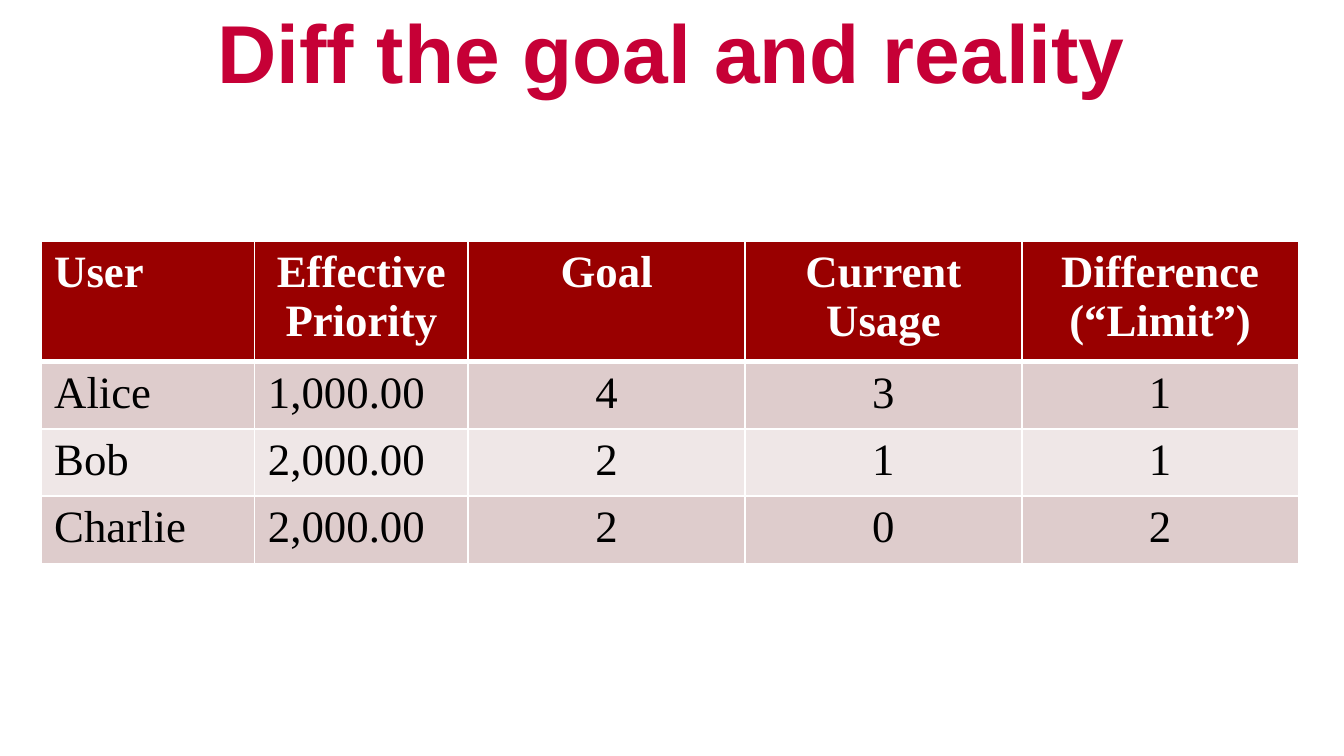
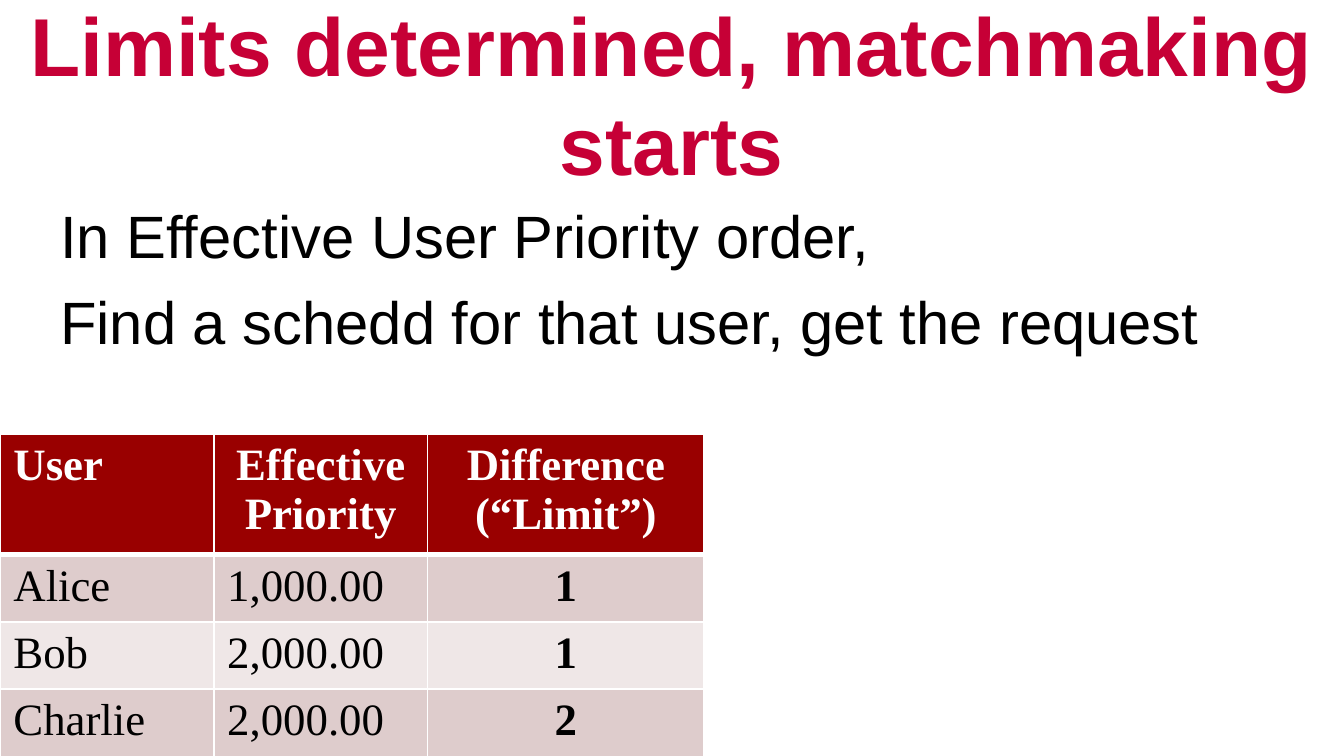
from lxml.etree import SubElement
from pptx import Presentation
from pptx.dml.color import RGBColor
from pptx.enum.text import MSO_ANCHOR as ANCHOR, PP_ALIGN as ALIGN
from pptx.oxml.ns import qn
from pptx.util import Cm, Pt

WIDTH, HEIGHT = 25.4, 14.29
HEADERS = ["User", "Effective\nPriority", "Goal", "Current\nUsage", "Difference\n(“Limit”)"]
USERS = [
    ["Alice", "1,000.00", "4", "3", "1"],
    ["Bob", "2,000.00", "2", "1", "1"],
    ["Charlie", "2,000.00", "2", "0", "2"],
]
COLUMN_WIDTHS = [4.04, 4.04, 5.23, 5.23, 5.23]
LIMIT_COLUMNS = [0, 1, 4]


def color(value):
    return RGBColor.from_string(value)


class Deck:
    TITLE, TEXT, LIGHT = "C60036", "000000", "FFFFFF"
    HEADER_FILL, BANDS = "990000", ("DECCCC", "EFE7E7")
    SANS, SERIF = "Arial", "Times New Roman"

    def __init__(self):
        self.prs = Presentation()
        self.prs.slide_width, self.prs.slide_height = Cm(WIDTH), Cm(HEIGHT)
        self.slide = None

    def new_slide(self):
        self.slide = self.prs.slides.add_slide(self.prs.slide_layouts[6])

    def add_lines(self, tf, lines, font, size, fill, bold=False, align=ALIGN.LEFT, gap=0):
        """Fill a text frame with one paragraph per line, gap points apart."""
        for i, line in enumerate(lines):
            p = tf.add_paragraph() if i else tf.paragraphs[0]
            p.alignment = align
            if i and gap:
                p.space_before = Pt(gap)
            r = p.add_run()
            r.text = line
            r.font.name, r.font.size, r.font.bold = font, Pt(size), bold
            r.font.color.rgb = color(fill)

    def text_frame(self, left, top, width, height):
        tf = self.slide.shapes.add_textbox(Cm(left), Cm(top), Cm(width), Cm(height)).text_frame
        tf.word_wrap = True
        return tf

    def title(self, text, top=0):
        tf = self.text_frame(0, top, WIDTH, 1.9)
        tf.vertical_anchor = ANCHOR.MIDDLE
        self.add_lines(tf, [text], self.SANS, 44, self.TITLE, True, ALIGN.CENTER)

    def body(self, lines):
        tf = self.text_frame(0.89, 3.63, 23.34, 8.81)
        self.add_lines(tf, lines, self.SANS, 32, self.TEXT, gap=7.5)

    def borders(self, cell, bottom):
        tc_pr = cell._tc.get_or_add_tcPr()
        for i, side in enumerate(("lnL", "lnR", "lnT", "lnB")):
            width = bottom if side == "lnB" else 1
            ln = SubElement(tc_pr, qn(f"a:{side}"), w=str(Pt(width)))
            SubElement(SubElement(ln, qn("a:solidFill")), qn("a:srgbClr"), val=self.LIGHT)
            tc_pr.insert(i, ln)

    def user_table(self, left, top, columns, bold_last=False):
        """Show the chosen columns of the user data."""
        rows = [HEADERS] + USERS
        widths = [COLUMN_WIDTHS[c] for c in columns]
        frame = self.slide.shapes.add_table(
            len(rows), len(columns), Cm(left), Cm(top), Cm(sum(widths)), Cm(6.1))
        table = frame.table
        for column, width in zip(table.columns, widths):
            column.width = Cm(width)
        for i, row in enumerate(rows):
            table.rows[i].height = Cm(1.04)
            header = i == 0
            for j, c in enumerate(columns):
                cell = table.cell(i, j)
                cell.fill.solid()
                cell.fill.fore_color.rgb = color(
                    self.HEADER_FILL if header else self.BANDS[(i - 1) % 2])
                self.borders(cell, 3 if header else 1)
                centered = c > 1 or (header and c == 1)
                self.add_lines(cell.text_frame, row[c].split("\n"), self.SERIF, 24,
                               self.LIGHT if header else self.TEXT,
                               header or (bold_last and c == columns[-1]),
                               ALIGN.CENTER if centered else ALIGN.LEFT)
        frame.height = Cm(6.1)


def main():
    deck = Deck()

    deck.new_slide()
    deck.title("Diff the goal and reality")
    deck.user_table(0.77, 4.55, range(len(HEADERS)))

    deck.new_slide()
    deck.body(["In Effective User Priority order,",
               "Find a schedd for that user, get the request"])
    deck.title("Limits determined, matchmaking starts", top=0.81)
    deck.user_table(0, 8.2, LIMIT_COLUMNS, bold_last=True)

    deck.prs.save("out.pptx")


if __name__ == "__main__":
    main()
